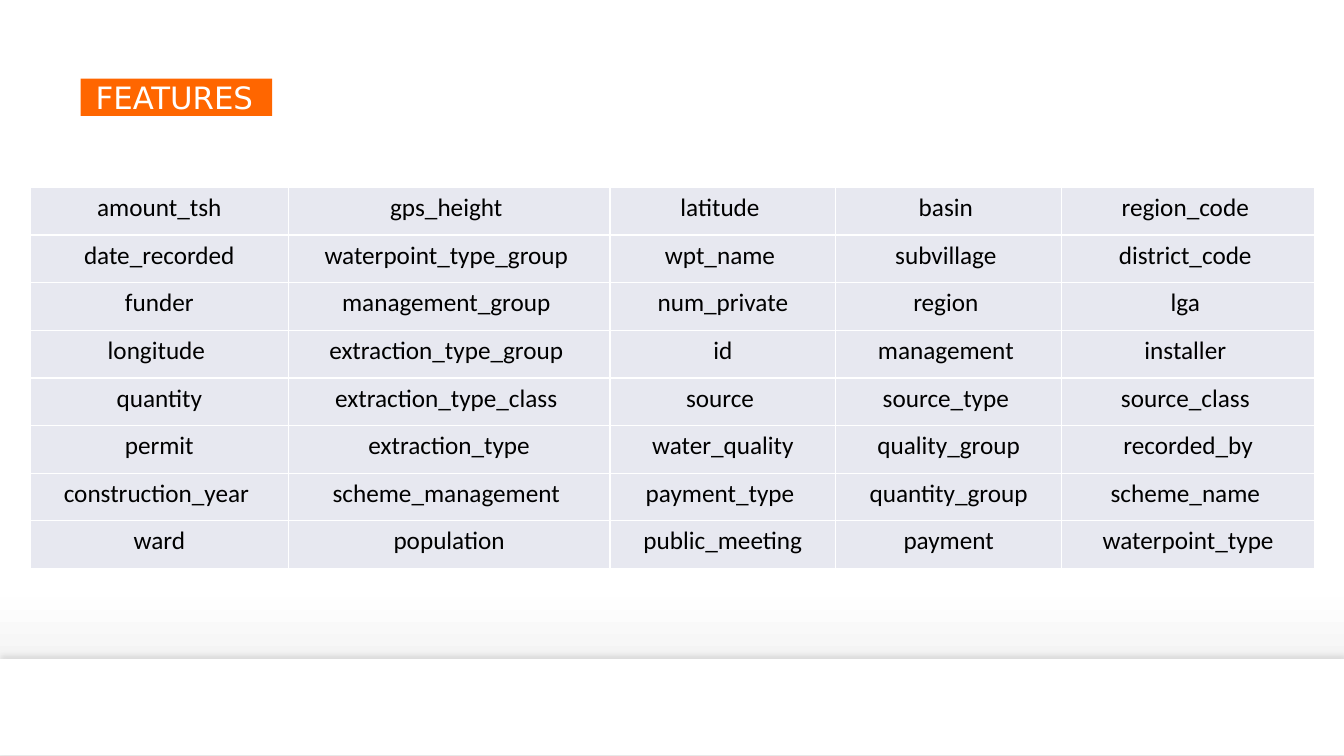
from copy import deepcopy

from pptx import Presentation
from pptx.dml.color import RGBColor
from pptx.enum.shapes import MSO_SHAPE
from pptx.enum.text import MSO_ANCHOR, MSO_AUTO_SIZE, PP_ALIGN
from pptx.oxml import parse_xml
from pptx.oxml.ns import nsdecls, qn
from pptx.util import Inches, Pt


def color(hex_string):
    return RGBColor.from_string(hex_string)


def write(tf, text, size, font, fill, align):
    p = tf.paragraphs[0]
    p.alignment = align
    r = p.add_run()
    r.text = text
    r.font.size = Pt(size)
    r.font.name = font
    r.font.color.rgb = color(fill)
    return p


prs = Presentation()
prs.slide_width, prs.slide_height = Inches(13.33), Inches(7.5)
s = prs.slides.add_slide(prs.slide_layouts[6])

# Background gradient, top to bottom, with a third stop
bg = s.background.fill
bg.gradient()
bg.gradient_angle = 270
stop_list = s.element.find(".//" + qn("a:gsLst"))
stop_list.append(deepcopy(stop_list[-1]))
stops = [(0, "FFFFFF"), (0.79, "FEFEFE"), (0.92, "EDEDED")]
for stop, (position, shade) in zip(bg.gradient_stops, stops):
    stop.position = position
    stop.color.rgb = color(shade)

# Floor band with a soft shadow above it
floor = s.shapes.add_shape(MSO_SHAPE.RECTANGLE, Inches(0), Inches(6.54),
                           Inches(13.33), Inches(0.95))
floor.fill.solid()
floor.fill.fore_color.rgb = color("FFFFFF")
floor.line.fill.background()
floor.element.spPr.append(parse_xml(
    f'<a:effectLst {nsdecls("a")}>'
    f'<a:outerShdw blurRad="{Pt(4)}" dist="{Pt(3)}" dir="16200000" rotWithShape="0">'
    '<a:srgbClr val="000000"><a:alpha val="10000"/></a:srgbClr>'
    '</a:outerShdw></a:effectLst>'))

# Title label
title = s.shapes.add_textbox(Inches(0.8), Inches(0.78), Inches(1.9), Inches(0.37))
title.fill.solid()
title.fill.fore_color.rgb = color("FF6600")
tf = title.text_frame
tf.word_wrap = False
tf.auto_size = MSO_AUTO_SIZE.SHAPE_TO_FIT_TEXT
tf.vertical_anchor = MSO_ANCHOR.BOTTOM
tf.margin_left, tf.margin_top = Inches(0), Inches(0.04)
tf.margin_right, tf.margin_bottom = Inches(0.16), Inches(0)
p = write(tf, "FEATURES", size=22, font="DejaVu Sans", fill="FFFFFF",
          align=PP_ALIGN.LEFT)
p.line_spacing = 0.9
pPr = p._p.get_or_add_pPr()
pPr.set("marL", str(Inches(0.15)))
pPr.set("indent", "0")

# Feature table: an open heading row, then the names
features = [
    ["amount_tsh", "gps_height ", "latitude ", "basin ", "region_code "],
    ["date_recorded", "waterpoint_type_group ", "wpt_name ", "subvillage ", "district_code "],
    ["funder", "management_group ", "num_private", "region ", "lga "],
    ["longitude ", "extraction_type_group ", "id", "management ", "installer "],
    ["quantity", "extraction_type_class ", "source ", "source_type ", "source_class "],
    ["permit", "extraction_type", " water_quality ", "quality_group", "recorded_by"],
    ["construction_year ", "scheme_management ", "payment_type ", "quantity_group",
     "scheme_name "],
    ["ward", "population", "public_meeting", "payment", "waterpoint_type"],
]
widths = [2.56, 3.19, 2.24, 2.24, 2.51]
table_height, heading_height = 4.48, 0.7
table = s.shapes.add_table(len(features) + 1, len(widths), Inches(0.3), Inches(1.16),
                           Inches(sum(widths)), Inches(table_height)).table
table.first_row = table.horz_banding = False
for column, width in zip(table.columns, widths):
    column.width = Inches(width)
for row in table.rows:
    row.height = Inches((table_height - heading_height) / len(features))
table.rows[0].height = Inches(heading_height)

for cell in table.rows[0].cells:
    cell.fill.background()
table.cell(0, 0).merge(table.cell(0, len(widths) - 1))

for i, names in enumerate(features, start=1):
    for j, name in enumerate(names):
        cell = table.cell(i, j)
        for side in ("lnL", "lnR", "lnT", "lnB"):
            cell._tc.get_or_add_tcPr().append(parse_xml(
                f'<a:{side} {nsdecls("a")} w="{Pt(1)}"><a:solidFill>'
                f'<a:srgbClr val="FFFFFF"/></a:solidFill></a:{side}>'))
        cell.fill.solid()
        cell.fill.fore_color.rgb = color("E7E8F0")
        write(cell.text_frame, name, size=18, font="Calibri", fill="000000",
              align=PP_ALIGN.CENTER)

prs.save("out.pptx")
